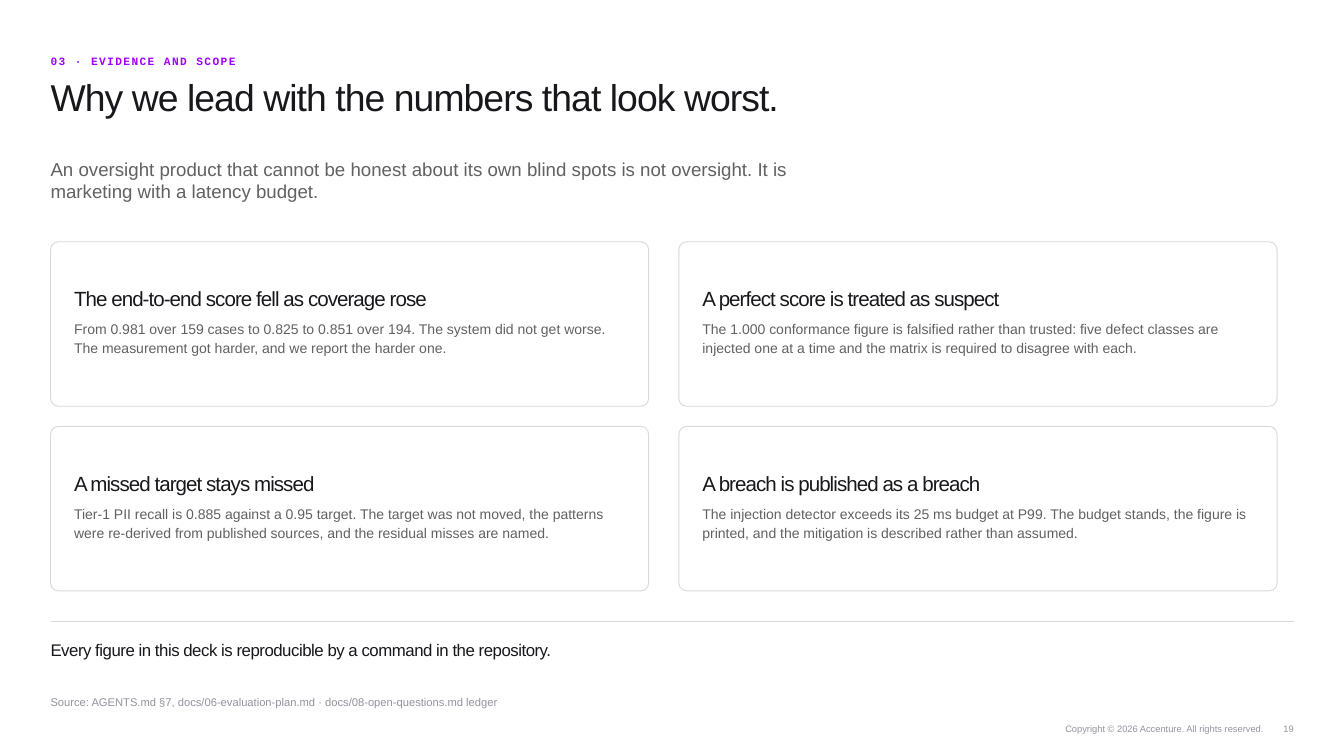
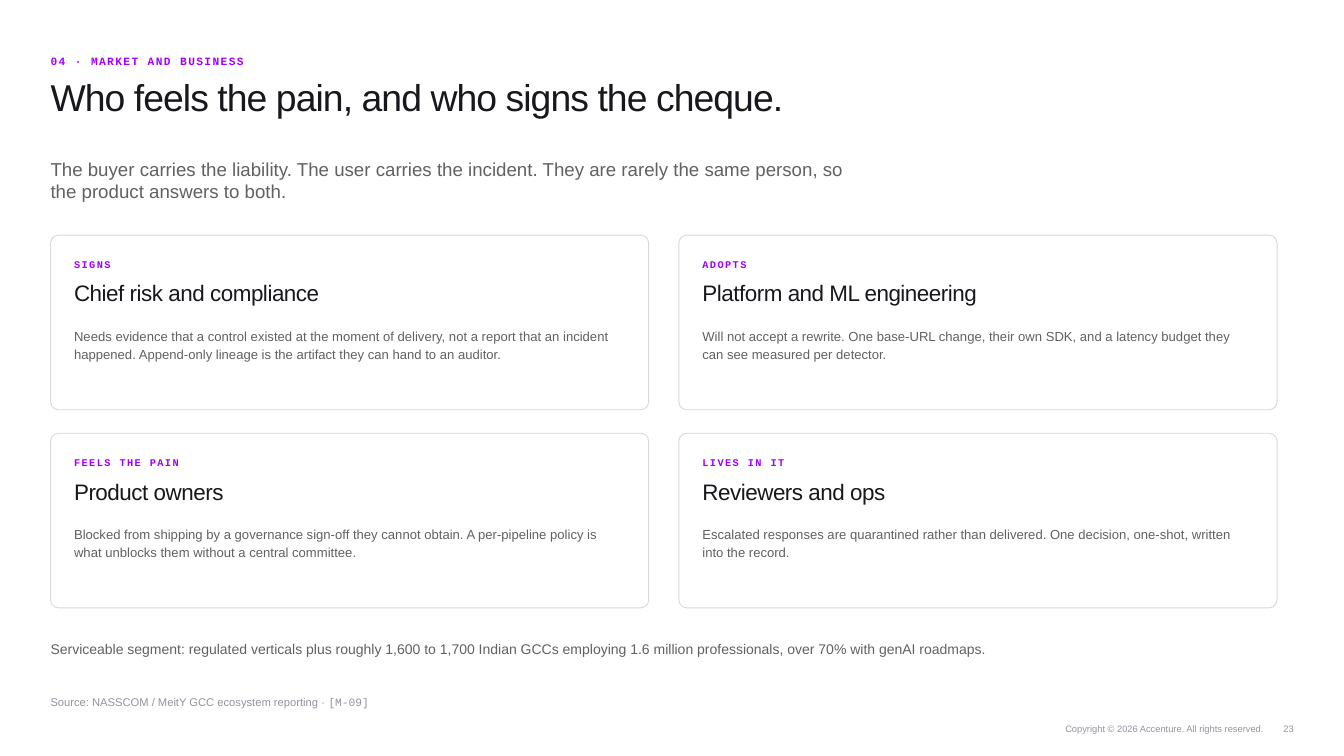
from lxml.etree import SubElement
from pptx import Presentation
from pptx.dml.color import RGBColor
from pptx.enum.shapes import MSO_CONNECTOR, MSO_SHAPE
from pptx.enum.text import MSO_ANCHOR, PP_ALIGN
from pptx.oxml.ns import qn
from pptx.util import Cm, Pt

INK, GREY, PALE, ACCENT = "17171C", "616161", "93939F", "A100FF"
RULE, WHITE = "D9D9DD", "FFFFFF"
SANS, MONO = "Arial", "Courier New"

LEFT, RIGHT = 1.91, 48.9
CARD_WIDTH, COLUMN_PITCH, CARD_INSET, CARD_TEXT_WIDTH = 22.61, 23.75, 0.89, 20.83
CARD_RADIUS = 0.3
LINE_HEIGHT = 0.76


def text_style(size, color, name=SANS, bold=False, tracking=0):
    return {"font": {"name": name, "size": Pt(size), "bold": bold},
            "color": color, "tracking": tracking}


EYEBROW = text_style(12, ACCENT, MONO, True, 1.5)
TITLE = text_style(40, INK, tracking=-1)
LEAD = text_style(20, GREY)
CLOSING = text_style(18, INK, tracking=-0.5)
SEGMENT = text_style(15, GREY)
SOURCE = text_style(12, PALE)
SOURCE_CODE = text_style(12, PALE, MONO)
FOOTER = text_style(10, PALE)

FINDING_CARDS = {
    "top": 9.14, "height": 6.22, "gap": 0.76,
    "parts": [
        (1.68, 1.14, text_style(22, INK, tracking=-1), {}),
        (2.92, 2.54, text_style(15, GREY), {"line_spacing": 1.12}),
    ],
}
ROLE_CARDS = {
    "top": 8.89, "height": 6.6, "gap": 0.89,
    "parts": [
        (0.71, LINE_HEIGHT, text_style(11, ACCENT, MONO, True, 1.5),
         {"anchor": MSO_ANCHOR.MIDDLE, "width": 10.16}),
        (1.68, 1.52, text_style(24, INK, tracking=-0.5), {}),
        (3.43, 2.67, text_style(14, GREY), {"line_spacing": 1.14}),
    ],
}

FINDINGS = [
    ("The end-to-end score fell as coverage rose",
     "From 0.981 over 159 cases to 0.825 to 0.851 over 194. The system did not get worse. "
     "The measurement got harder, and we report the harder one."),
    ("A perfect score is treated as suspect",
     "The 1.000 conformance figure is falsified rather than trusted: five defect classes are "
     "injected one at a time and the matrix is required to disagree with each."),
    ("A missed target stays missed",
     "Tier-1 PII recall is 0.885 against a 0.95 target. The target was not moved, the patterns "
     "were re-derived from published sources, and the residual misses are named."),
    ("A breach is published as a breach",
     "The injection detector exceeds its 25 ms budget at P99. The budget stands, the figure is "
     "printed, and the mitigation is described rather than assumed."),
]
ROLES = [
    ("SIGNS", "Chief risk and compliance",
     "Needs evidence that a control existed at the moment of delivery, not a report that an "
     "incident happened. Append-only lineage is the artifact they can hand to an auditor."),
    ("ADOPTS", "Platform and ML engineering",
     "Will not accept a rewrite. One base-URL change, their own SDK, and a latency budget they "
     "can see measured per detector."),
    ("FEELS THE PAIN", "Product owners",
     "Blocked from shipping by a governance sign-off they cannot obtain. A per-pipeline policy "
     "is what unblocks them without a central committee."),
    ("LIVES IN IT", "Reviewers and ops",
     "Escalated responses are quarantined rather than delivered. One decision, one-shot, "
     "written into the record."),
]


def hex_color(value):
    return RGBColor.from_string(value)


def set_values(target, values):
    for name, value in values.items():
        setattr(target, name, value)


def add_run(paragraph, text, style):
    run = paragraph.add_run()
    run.text = text
    set_values(run.font, style["font"])
    run.font.color.rgb = hex_color(style["color"])
    if style["tracking"]:
        run._r.get_or_add_rPr().set("spc", str(int(style["tracking"] * 100)))


def add_text(slide, left, top, width, height, text, style,
             anchor=MSO_ANCHOR.TOP, alignment=PP_ALIGN.LEFT, line_spacing=None):
    box = slide.shapes.add_textbox(Cm(left), Cm(top), Cm(width), Cm(height))
    set_values(box.text_frame, {
        "word_wrap": True, "vertical_anchor": anchor,
        "margin_left": 0, "margin_top": 0, "margin_right": 0, "margin_bottom": 0,
    })
    paragraph = box.text_frame.paragraphs[0]
    set_values(paragraph, {"alignment": alignment, "line_spacing": line_spacing})
    add_run(paragraph, text, style)
    return paragraph


def add_line_of_text(slide, left, top, width, text, style, height=LINE_HEIGHT,
                     alignment=PP_ALIGN.LEFT):
    return add_text(slide, left, top, width, height, text, style,
                    MSO_ANCHOR.MIDDLE, alignment)


def add_card(slide, left, top, height):
    card = slide.shapes.add_shape(MSO_SHAPE.ROUNDED_RECTANGLE,
                                  Cm(left), Cm(top), Cm(CARD_WIDTH), Cm(height))
    card.adjustments[0] = CARD_RADIUS / height
    card.shadow.inherit = False
    card.fill.solid()
    card.fill.fore_color.rgb = hex_color(WHITE)
    card.line.color.rgb = hex_color(RULE)
    card.line.width = Pt(1)


def add_card_grid(slide, layout, cards):
    for index, texts in enumerate(cards):
        row, column = divmod(index, 2)
        left = LEFT + column * COLUMN_PITCH
        top = layout["top"] + row * (layout["height"] + layout["gap"])
        add_card(slide, left, top, layout["height"])
        for text, (offset, height, style, options) in zip(texts, layout["parts"]):
            settings = {"width": CARD_TEXT_WIDTH, **options}
            add_text(slide, left + CARD_INSET, top + offset, height=height,
                     text=text, style=style, **settings)


def add_rule(slide, top):
    rule = slide.shapes.add_connector(MSO_CONNECTOR.STRAIGHT,
                                      Cm(LEFT), Cm(top), Cm(RIGHT), Cm(top))
    rule.line.color.rgb = hex_color(RULE)
    rule.line.width = Pt(0.75)
    SubElement(rule._element.spPr, qn("a:effectLst"))


def add_heading(slide, eyebrow, title, lead):
    add_line_of_text(slide, LEFT, 1.91, 30.48, eyebrow, EYEBROW)
    add_text(slide, LEFT, 2.79, 35.56, 2.79, title, TITLE)
    add_text(slide, LEFT, 5.97, 30.48, 2.03, lead, LEAD)


def add_footer(slide, source, number):
    source_line = add_line_of_text(slide, LEFT, 26.16, 43.18, source, SOURCE)
    add_line_of_text(slide, 33.53, 27.18, 14.22,
                     "Copyright © 2026 Accenture. All rights reserved.",
                     FOOTER, alignment=PP_ALIGN.RIGHT)
    add_line_of_text(slide, 48.01, 27.18, 0.89, str(number), FOOTER,
                     alignment=PP_ALIGN.RIGHT)
    return source_line


def add_slide(presentation):
    slide = presentation.slides.add_slide(presentation.slide_layouts[6])
    slide.background.fill.solid()
    slide.background.fill.fore_color.rgb = hex_color(WHITE)
    return slide


def build_evidence_slide(presentation):
    slide = add_slide(presentation)
    add_heading(slide, "03 · EVIDENCE AND SCOPE",
                "Why we lead with the numbers that look worst.",
                "An oversight product that cannot be honest about its own blind spots is not "
                "oversight. It is marketing with a latency budget.")
    add_card_grid(slide, FINDING_CARDS, FINDINGS)
    add_rule(slide, 23.5)
    add_line_of_text(slide, LEFT, 24, 43.18,
                     "Every figure in this deck is reproducible by a command in the repository.",
                     CLOSING, height=1.14)
    add_footer(slide, "Source: AGENTS.md §7, docs/06-evaluation-plan.md · "
                      "docs/08-open-questions.md ledger", 19)


def build_market_slide(presentation):
    slide = add_slide(presentation)
    add_heading(slide, "04 · MARKET AND BUSINESS",
                "Who feels the pain, and who signs the cheque.",
                "The buyer carries the liability. The user carries the incident. They are rarely "
                "the same person, so the product answers to both.")
    add_card_grid(slide, ROLE_CARDS, ROLES)
    add_line_of_text(slide, LEFT, 23.88, 44.45,
                     "Serviceable segment: regulated verticals plus roughly 1,600 to 1,700 Indian "
                     "GCCs employing 1.6 million professionals, over 70% with genAI roadmaps.",
                     SEGMENT, height=1.27)
    source_line = add_footer(slide, "Source: NASSCOM / MeitY GCC ecosystem reporting · ", 23)
    add_run(source_line, "[M-09]", SOURCE_CODE)


def main():
    presentation = Presentation()
    set_values(presentation, {"slide_width": Cm(50.8), "slide_height": Cm(28.58)})
    build_evidence_slide(presentation)
    build_market_slide(presentation)
    presentation.save("out.pptx")


if __name__ == "__main__":
    main()
